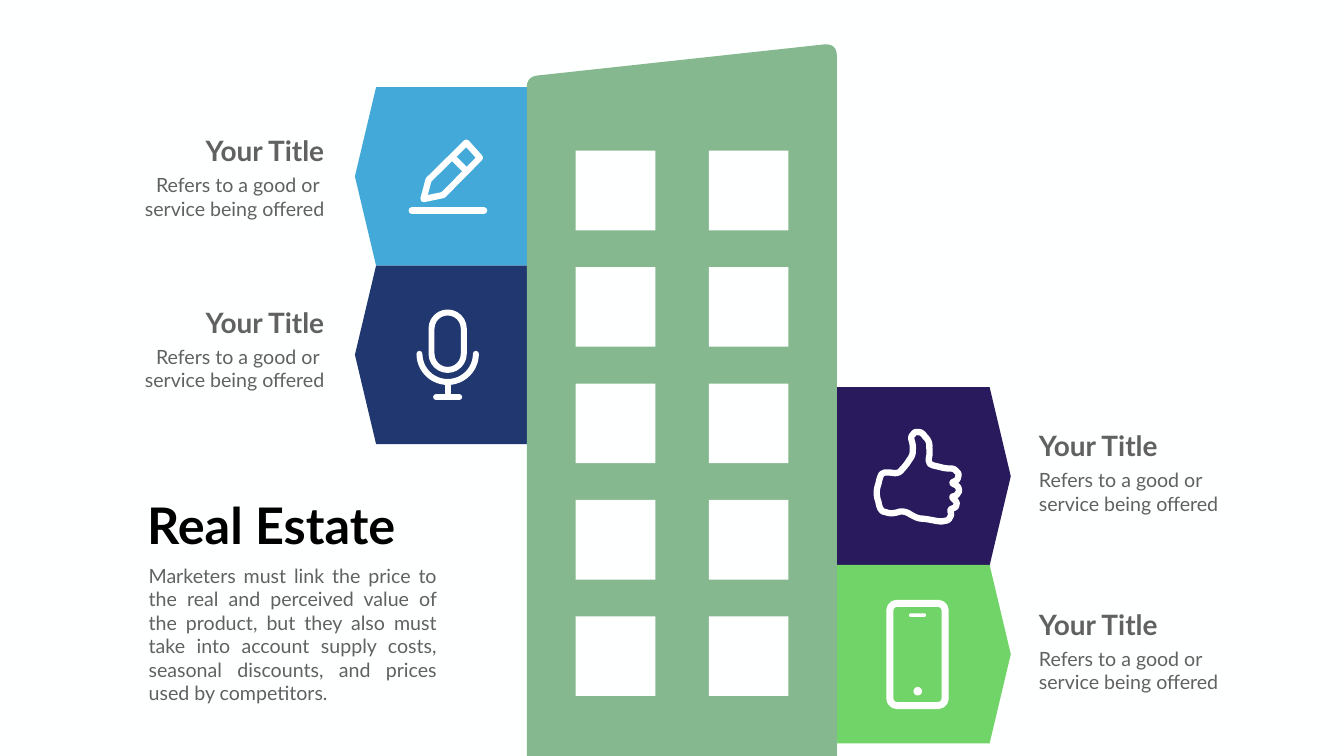
from math import cos, pi, sin

from lxml import etree
from pptx import Presentation
from pptx.dml.color import RGBColor
from pptx.enum.shapes import MSO_CONNECTOR, MSO_SHAPE
from pptx.enum.text import MSO_AUTO_SIZE, PP_ALIGN
from pptx.oxml.ns import qn
from pptx.util import Inches, Pt

LEFT, RIGHT, FULL = PP_ALIGN.LEFT, PP_ALIGN.RIGHT, PP_ALIGN.JUSTIFY
ROUND, OVAL = MSO_SHAPE.ROUNDED_RECTANGLE, MSO_SHAPE.OVAL
RECT = MSO_SHAPE.RECTANGLE
FIT = MSO_AUTO_SIZE.SHAPE_TO_FIT_TEXT
STRAIGHT = MSO_CONNECTOR.STRAIGHT

COLS, ROWS = 26.66, 15
FONT = "Lato"
PAPER = RGBColor(0xFE, 0xFF, 0xFF)
WHITE = RGBColor(0xFF, 0xFF, 0xFF)
BLACK = RGBColor(0, 0, 0)
GREY = RGBColor(0x61, 0x61, 0x61)
SKY = RGBColor(0x42, 0xA9, 0xD8)
NAVY = RGBColor(0x20, 0x37, 0x70)
PLUM = RGBColor(0x28, 0x1A, 0x5C)
LIME = RGBColor(0x71, 0xD4, 0x68)
SAGE = RGBColor(0x86, 0xB8, 0x8F)

TAG_W, TAG_H, TIP = 3.69, 3.54, 0.42
TAGS = [
    (7.04, 1.73, SKY, -1, 2.61),
    (7.04, 5.27, NAVY, -1, 6.01),
    (16.36, 7.68, PLUM, 1, 8.46),
    (16.36, 11.21, LIME, 1, 12),
]
THUMB = [
    (17.56, 9.37), (17.82, 9.39), (17.97, 9.23), (18.1, 9.03), (18.11, 8.85),
    (18.07, 8.67), (18.15, 8.57), (18.28, 8.58), (18.43, 8.76), (18.44, 9),
    (18.42, 9.14), (18.46, 9.22), (18.74, 9.29), (18.92, 9.3), (19.02, 9.4),
    (18.99, 9.52), (18.88, 9.58), (19, 9.65), (19.03, 9.74), (18.97, 9.83),
    (18.88, 9.86), (18.98, 9.97), (18.96, 10.06), (18.85, 10.11),
    (18.87, 10.22), (18.81, 10.32), (18.66, 10.35), (18.38, 10.3),
    (18.2, 10.28), (17.93, 10.14), (17.67, 10.19), (17.47, 10.13),
    (17.38, 9.78), (17.47, 9.42),
]


def paint(shape, fill=None, line=None):
    shape.shadow.inherit = False
    if fill is None:
        shape.fill.background()
    else:
        shape.fill.solid()
        shape.fill.fore_color.rgb = fill
    if line is None:
        shape.line.fill.background()
    else:
        stroke(shape, line)


def stroke(shape, width):
    shape.line.color.rgb = WHITE
    shape.line.width = Pt(width)
    ln = shape.line._get_or_add_ln()
    ln.set("cap", "rnd")
    etree.SubElement(ln, qn("a:round"))


def outline(slide, points, fill=None, line=None, close=True):
    spots = [(Inches(x), Inches(y)) for x, y in points]
    pen = slide.shapes.build_freeform(*spots[0])
    pen.add_line_segments(spots[1:], close=close)
    paint(pen.convert_to_shape(), fill, line)


def block(slide, kind, box, fill=None, line=None, bend=None):
    shape = slide.shapes.add_shape(kind, *map(Inches, box))
    if bend is not None:
        shape.adjustments[0] = bend
    paint(shape, fill, line)


def rule(slide, x1, y1, x2, y2, width):
    line = slide.shapes.add_connector(STRAIGHT, *map(Inches, (x1, y1, x2, y2)))
    stroke(line, width)
    etree.SubElement(line._element.spPr, qn("a:effectLst"))


def curve(a, b, c, steps=8):
    spots = []
    for i in range(steps + 1):
        t = i / steps
        spots.append(tuple((1 - t) ** 2 * p + 2 * t * (1 - t) * q + t * t * r
                           for p, q, r in zip(a, b, c)))
    return spots


def smooth(points):
    mids = [((a + c) / 2, (b + d) / 2)
            for (a, b), (c, d) in zip(points, points[1:] + points[:1])]
    spots = []
    for i, spot in enumerate(points):
        knot = tuple(1.5 * p - (a + b) / 4
                     for p, a, b in zip(spot, mids[i - 1], mids[i]))
        spots += curve(mids[i - 1], knot, mids[i])[:-1]
    return spots


def text(slide, box, lines, size, color=GREY, bold=False, align=LEFT, wrap=True):
    frame = slide.shapes.add_textbox(*map(Inches, box)).text_frame
    frame.word_wrap = wrap
    frame.auto_size = FIT
    for i, line in enumerate(lines):
        para = frame.add_paragraph() if i else frame.paragraphs[0]
        para.text = line
        para.alignment = align
        para.font.name = FONT
        para.font.size = Pt(size)
        para.font.bold = bold
        para.font.color.rgb = color


def tag(slide, left, top, color, side):
    mid = left + TAG_W / 2
    back, neck, tip = (mid + side * n for n in (-TAG_W / 2, TAG_W / 2 - TIP, TAG_W / 2))
    base = top + TAG_H
    outline(slide, [(back, top), (neck, top), (tip, top + TAG_H / 2),
                    (neck, base), (back, base)], color)


def label(slide, side, top):
    align, gap = (LEFT, "") if side > 0 else (RIGHT, " ")
    for drop, wide, tall, lines, size, bold in (
        (0, 2.72, 0.77, ["Your Title"], 40, True),
        (0.78, 4.18, 1.04, ["Refers to a good or" + gap, "service being offered"], 28, False),
    ):
        left = 20.51 if side > 0 else 6.53 - wide
        text(slide, (left, top + drop, wide, tall), lines, size, bold=bold, align=align)


def tower(slide):
    roof = curve((10.45, 1.73), (10.45, 1.53), (10.65, 1.5))
    roof += curve((16.36, 0.88), (16.6, 0.87), (16.6, 1.11))
    outline(slide, roof + [(16.6, 15.03), (10.45, 15.03)], SAGE)
    for row in range(5):
        for col in range(2):
            box = (11.42 + 2.64 * col, 2.99 + 2.31 * row, 1.58, 1.58)
            block(slide, RECT, box, PAPER)


def pencil(slide):
    outline(slide, [(8.4, 3.95), (8.5, 3.57), (9.25, 2.83), (9.52, 3.13), (8.79, 3.87)], line=9)
    rule(slide, 9.01, 3.15, 9.21, 3.35, 9)
    rule(slide, 8.17, 4.18, 9.6, 4.18, 9.4)


def mic(slide):
    mid, turn, arm = 8.88, 7.02, 0.56
    block(slide, ROUND, (mid - 0.32, 6.2, 0.64, 1.14), line=8.5, bend=0.5)
    arc = [(mid + arm * cos(pi * i / 24), turn + arm * sin(pi * i / 24)) for i in range(25)]
    outline(slide, arc, line=8.5, close=False)
    rule(slide, mid, turn + arm, mid, 7.88, 8.5)
    rule(slide, mid - 0.23, 7.88, mid + 0.23, 7.88, 8.5)


def phone(slide):
    block(slide, ROUND, (17.65, 11.97, 1.1, 2.03), line=10, bend=0.13)
    block(slide, OVAL, (18.12, 13.63, 0.17, 0.17), WHITE)
    block(slide, ROUND, (18.03, 12.17, 0.34, 0.07), WHITE, bend=0.5)


def main():
    deck = Presentation()
    deck.slide_width, deck.slide_height = Inches(COLS), Inches(ROWS)
    slide = deck.slides.add_slide(deck.slide_layouts[6])
    slide.background.fill.solid()
    slide.background.fill.fore_color.rgb = PAPER
    for left, top, color, side, _ in TAGS:
        tag(slide, left, top, color, side)
    tower(slide)
    pencil(slide)
    mic(slide)
    outline(slide, smooth(THUMB), line=9)
    phone(slide)
    for *_, side, top in TAGS:
        label(slide, side, top)
    text(slide, (2.82, 9.75, 5.26, 1.31), ["Real Estate"], 72, BLACK, True, wrap=False)
    text(slide, (2.85, 11.13, 5.91, 2.93), [
        "Marketers must link the price to the real and perceived value of the product, "
        "but they also must take into account supply costs, seasonal discounts, "
        "and prices used by competitors."], 28, align=FULL)
    deck.save("out.pptx")


if __name__ == "__main__":
    main()
